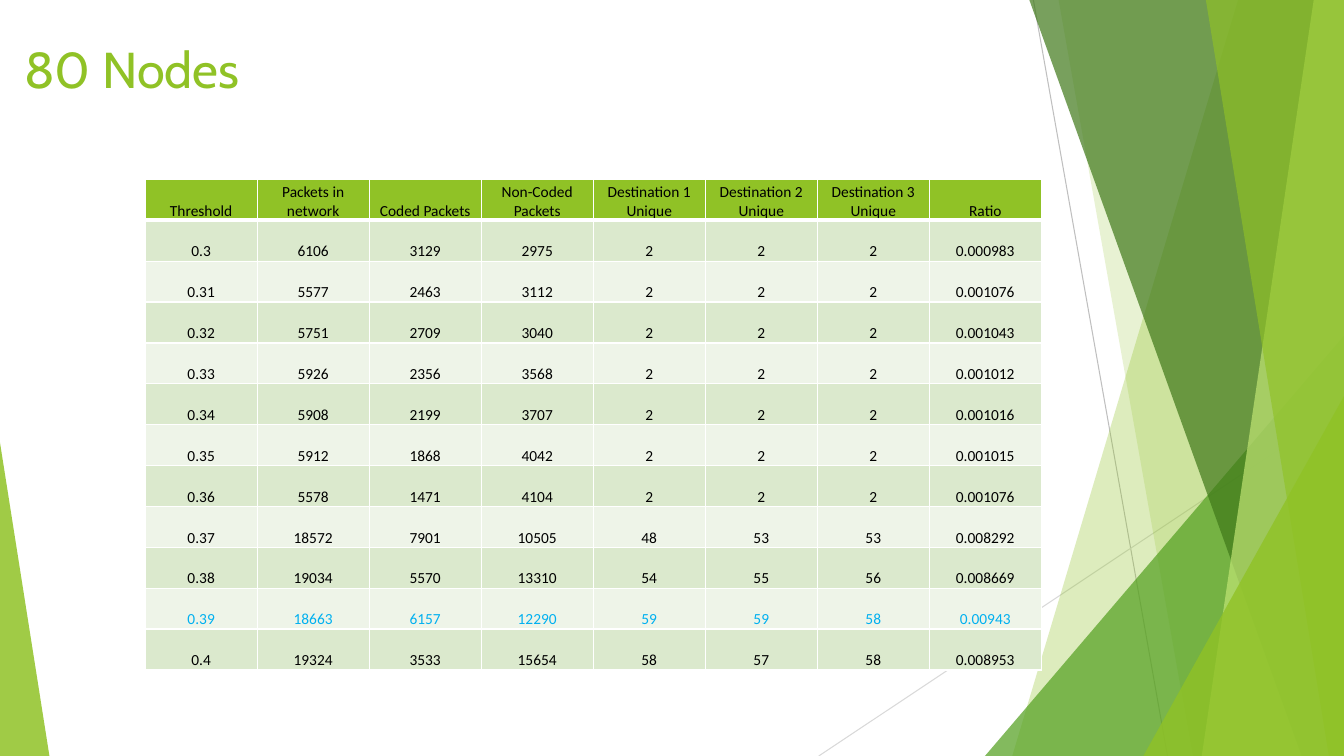
from lxml import etree
from pptx import Presentation
from pptx import util as u
from pptx.dml.color import RGBColor
from pptx.enum import shapes, text
from pptx.oxml import ns

WIDTH, HEIGHT = u.Inches(13.33), u.Inches(7.5)
COLORS = {
    "lime": "90C226", "green": "54A021", "forest": "3F7819", "pale": "C0E474",
    "odd": "DBE9CD", "even": "EEF4E8", "white": "FFFFFF", "black": "000000",
    "highlight": "00B0F0", "gray": "BFBFBF", "silver": "D9D9D9",
}
HEADERS = ["Threshold", "Packets in network", "Coded Packets", "Non-Coded Packets",
           "Destination 1 Unique", "Destination 2 Unique", "Destination 3 Unique", "Ratio"]
RESULTS = [
    ["0.3", "6106", "3129", "2975", "2", "2", "2", "0.000983"],
    ["0.31", "5577", "2463", "3112", "2", "2", "2", "0.001076"],
    ["0.32", "5751", "2709", "3040", "2", "2", "2", "0.001043"],
    ["0.33", "5926", "2356", "3568", "2", "2", "2", "0.001012"],
    ["0.34", "5908", "2199", "3707", "2", "2", "2", "0.001016"],
    ["0.35", "5912", "1868", "4042", "2", "2", "2", "0.001015"],
    ["0.36", "5578", "1471", "4104", "2", "2", "2", "0.001076"],
    ["0.37", "18572", "7901", "10505", "48", "53", "53", "0.008292"],
    ["0.38", "19034", "5570", "13310", "54", "55", "56", "0.008669"],
    ["0.39", "18663", "6157", "12290", "59", "59", "58", "0.00943"],
    ["0.4", "19324", "3533", "15654", "58", "57", "58", "0.008953"],
]
BEST_THRESHOLD = "0.39"


def x(percent):
    return round(WIDTH * percent / 100)


def y(percent):
    return round(HEIGHT * percent / 100)


def rgb(name):
    return RGBColor.from_string(COLORS[name])


def paint(sp, color, opacity):
    sp.shadow.inherit = False
    sp.line.fill.background()
    sp.fill.solid()
    sp.fill.fore_color.rgb = rgb(color)
    clr = sp.fill._xPr.find(".//" + ns.qn("a:srgbClr"))
    etree.SubElement(clr, ns.qn("a:alpha"), val=str(opacity * 1000))


def add_band(s, top_left, bottom_left, color, opacity):
    builder = s.shapes.build_freeform(x(top_left), 0)
    builder.add_line_segments([(WIDTH, 0), (WIDTH, HEIGHT), (x(bottom_left), HEIGHT)])
    paint(builder.convert_to_shape(), color, opacity)


def add_corner(s, left, top, width, apex, color, opacity):
    sp = s.shapes.add_shape(shapes.MSO_SHAPE.ISOSCELES_TRIANGLE,
                            x(left), y(top), x(width), HEIGHT - y(top))
    sp.adjustments[0] = apex
    paint(sp, color, opacity)


def add_hairline(s, x1, y1, x2, y2, color):
    line = s.shapes.add_connector(shapes.MSO_CONNECTOR.STRAIGHT, x(x1), y(y1), x(x2), y(y2))
    line.line.color.rgb = rgb(color)
    line.line.width = u.Pt(0.75)
    etree.SubElement(line._element.spPr, ns.qn("a:effectLst"))


def add_title(s, words):
    sp = s.shapes.title
    sp.left, sp.top, sp.width, sp.height = x(1.05), y(4.4), x(29.93), y(19.33)
    tf = sp.text_frame
    tf.text = words
    tf.word_wrap = True
    tf.vertical_anchor = text.MSO_ANCHOR.TOP
    p = tf.paragraphs[0]
    p.alignment = text.PP_ALIGN.LEFT
    p.font.name, p.font.size = "Cabin", u.Pt(36)
    p.font.color.rgb = rgb("lime")


def set_borders(cell, widths):
    tc_pr = cell._tc.get_or_add_tcPr()
    for index, (side, width) in enumerate(widths.items()):
        ln = etree.Element(ns.qn("a:ln" + side), w=str(u.Pt(width)))
        fill = etree.SubElement(ln, ns.qn("a:solidFill"))
        etree.SubElement(fill, ns.qn("a:srgbClr"), val=COLORS["white"])
        tc_pr.insert(index, ln)


def fill_cell(cell, words, fill, ink, top, bottom):
    cell.text = words
    cell.fill.solid()
    cell.fill.fore_color.rgb = rgb(fill)
    cell.vertical_anchor = text.MSO_ANCHOR.BOTTOM
    cell.margin_left = cell.margin_right = cell.margin_top = u.Inches(0.01)
    cell.margin_bottom = 0
    p = cell.text_frame.paragraphs[0]
    p.alignment = text.PP_ALIGN.CENTER
    p.font.name, p.font.size = "Calibri", u.Pt(11)
    p.font.color.rgb = rgb(ink)
    set_borders(cell, {"L": 1, "R": 1, "T": top, "B": bottom})


def add_results(s):
    rows = [HEADERS] + RESULTS
    table = s.shapes.add_table(len(rows), len(HEADERS),
                               x(10.8), y(23.73), x(66.69), y(64.93)).table
    for i, row in enumerate(rows):
        fill = "lime" if i == 0 else "odd" if i % 2 else "even"
        ink = "highlight" if row[0] == BEST_THRESHOLD else "black"
        for j, words in enumerate(row):
            fill_cell(table.cell(i, j), words, fill, ink,
                      top=3 if i == 1 else 1, bottom=3 if i == 0 else 1)


def add_facets(s):
    add_hairline(s, 76.89, 0, 86.87, 100, "gray")
    add_hairline(s, 100, 53.73, 60.92, 100, "silver")
    add_band(s, 92.12, 75.32, "lime", 30)
    add_band(s, 78.77, 88.75, "lime", 20)
    add_corner(s, 73.29, 44.4, 26.71, 1, "green", 72)
    add_band(s, 76.59, 96.85, "forest", 70)
    add_band(s, 97.75, 89.42, "pale", 70)
    add_band(s, 89.72, 98.87, "lime", 65)
    add_corner(s, 85.07, 52.4, 14.93, 1, "lime", 80)
    add_corner(s, 0, 58.53, 3.68, 0, "lime", 85)


def main():
    prs = Presentation()
    prs.slide_width, prs.slide_height = WIDTH, HEIGHT
    s = prs.slides.add_slide(prs.slide_layouts[5])
    add_facets(s)
    add_title(s, "80 Nodes")
    add_results(s)
    prs.save("out.pptx")


if __name__ == "__main__":
    main()
